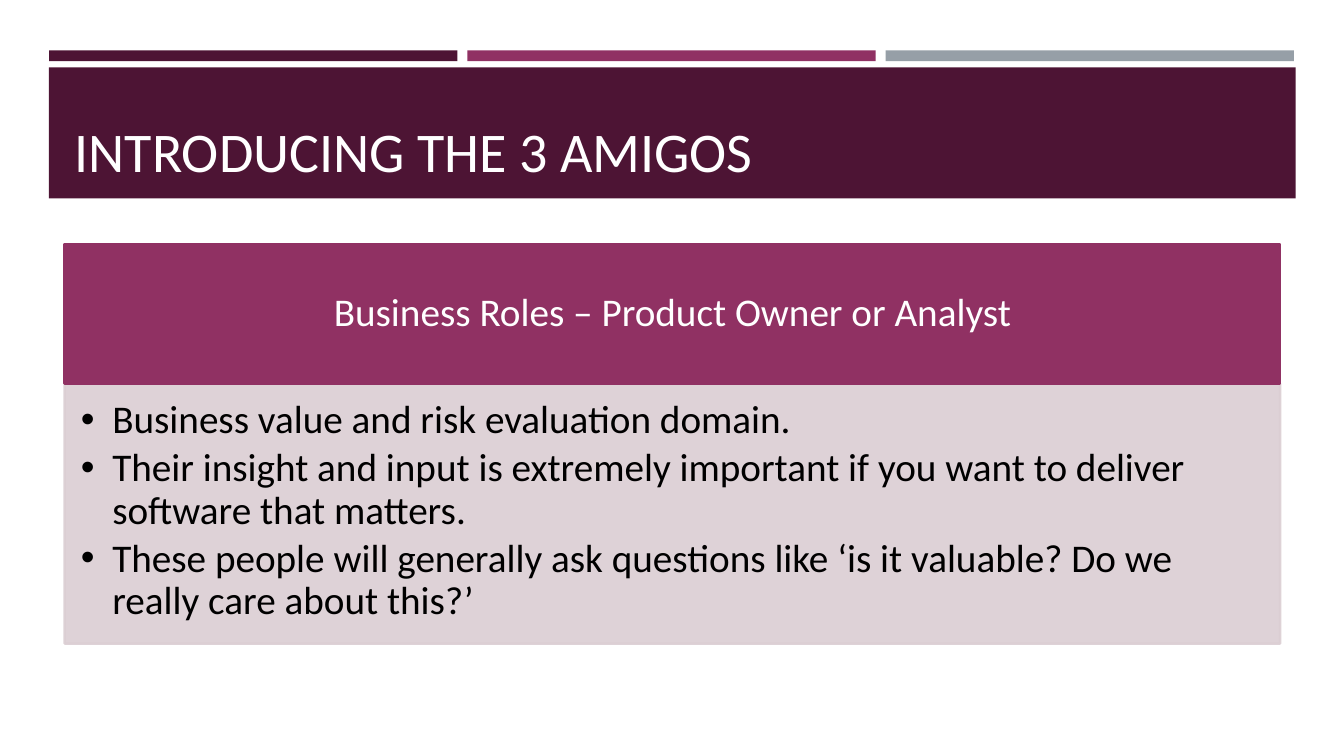
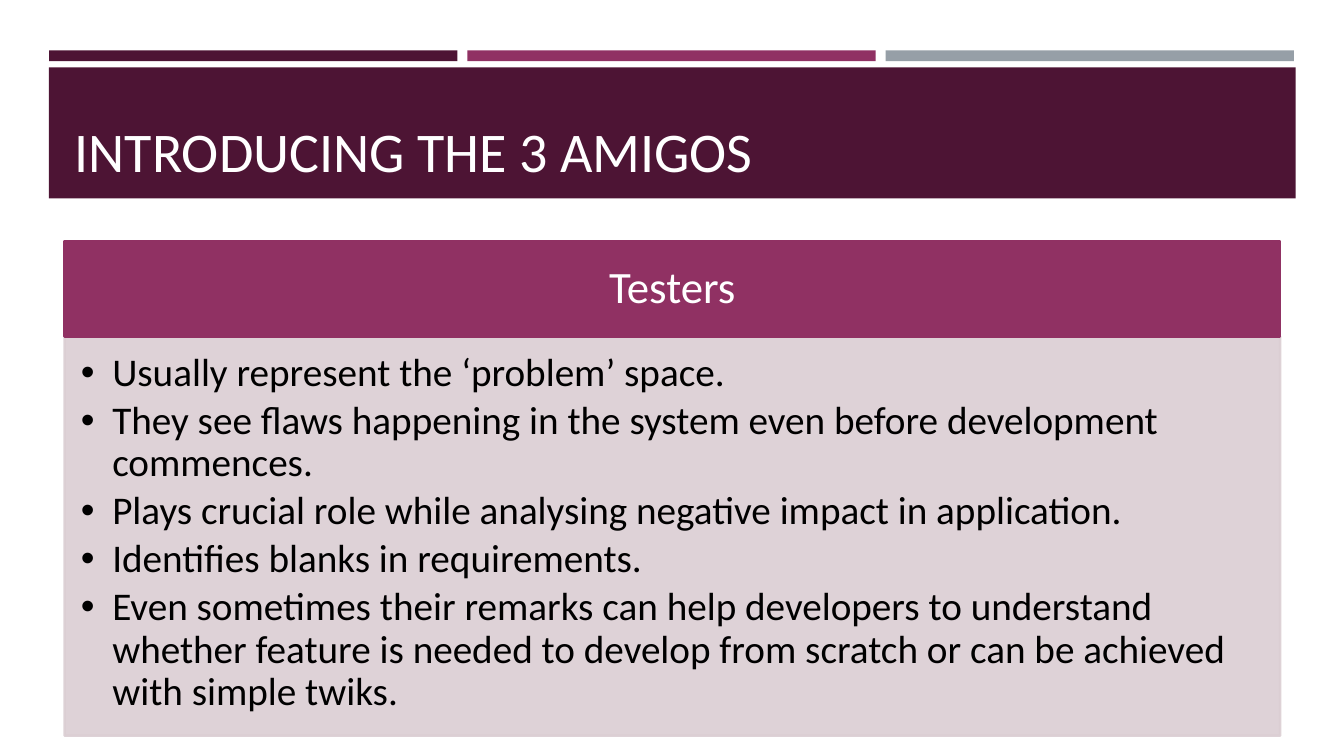
from lxml.etree import SubElement
from pptx import Presentation
from pptx.dml.color import RGBColor
from pptx.enum.shapes import MSO_SHAPE as Shape
from pptx.enum.text import MSO_ANCHOR as Anchor, MSO_AUTO_SIZE as AutoSize, PP_ALIGN as Align
from pptx.oxml.ns import qn
from pptx.util import Cm, Pt

# Shared style
FONT = "Calibri"
PLUM, BERRY, GREY = "4D1434", "903163", "969FA7"
PANEL, WHITE, BLACK = "DBCED3", "FFFFFF", "000000"
CONTENT_LEFT, CONTENT_WIDTH = 1.63, 30.63
STRIPE_WIDTH, STRIPE_PITCH = 10.29, 10.54
BULLET_INDENT = 0.79

TITLE = "INTRODUCING THE 3 AMIGOS"
SLIDES = [
    {
        "heading": "Business Roles – Product Owner or Analyst",
        "heading_size": 28, "top": 6.15, "heading_height": 3.52, "list_height": 6.55,
        "items": [
            "Business value and risk evaluation domain.",
            "Their insight and input is extremely important if you want to deliver "
            "software that matters.",
            "These people will generally ask questions like ‘is it valuable? "
            "Do we really care about this?’",
        ],
    },
    {
        "heading": "Testers",
        "heading_size": 32, "top": 6.08, "heading_height": 2.4, "list_height": 10.06,
        "items": [
            "Usually represent the ‘problem’ space.",
            "They see flaws happening in the system even before development commences.",
            "Plays crucial role while analysing negative impact in application.",
            "Identifies blanks in requirements.",
            "Even sometimes their remarks can help developers to understand whether "
            "feature is needed to develop from scratch or can be achieved with simple twiks.",
        ],
    },
]


def color(hex_code):
    return RGBColor.from_string(hex_code)


def place(shape, left, top, width, height):
    shape.left, shape.top = Cm(left), Cm(top)
    shape.width, shape.height = Cm(width), Cm(height)


def paint(shape, fill, line=None, opacity=100):
    """Give a shape a flat fill and an optional outline."""
    shape.fill.solid()
    shape.fill.fore_color.rgb = color(fill)
    if line:
        shape.line.color.rgb = color(line)
        shape.line.width = Pt(1.75)
    else:
        shape.line.fill.background()
    if opacity < 100:
        for tint in shape.element.spPr.iter(qn("a:srgbClr")):
            SubElement(tint, qn("a:alpha"), val=str(opacity * 1000))


def add_box(slide, left, top, width, height, fill, line=None):
    box = slide.shapes.add_shape(Shape.RECTANGLE, Cm(left), Cm(top), Cm(width), Cm(height))
    box.shadow.inherit = False
    paint(box, fill, line)
    return box


def add_bullet(paragraph):
    properties = paragraph._p.get_or_add_pPr()
    indent = Cm(BULLET_INDENT)
    properties.set("marL", str(indent))
    properties.set("indent", str(-indent))
    SubElement(properties, qn("a:buFont"), typeface="Arial")
    SubElement(properties, qn("a:buChar"), char="•")


def write(shape, *texts, size, ink, align=Align.LEFT, anchor=Anchor.TOP,
          bullets=False, space_after=0):
    """Write one paragraph for each text."""
    frame = shape.text_frame
    frame.word_wrap = True
    frame.auto_size = AutoSize.NONE
    frame.vertical_anchor = anchor
    for index, text in enumerate(texts):
        paragraph = frame.add_paragraph() if index else frame.paragraphs[0]
        paragraph.text = text
        if bullets:
            add_bullet(paragraph)
        paragraph.alignment = align
        paragraph.line_spacing = 0.9
        paragraph.space_before = Pt(0)
        paragraph.space_after = Pt(space_after)
        paragraph.font.name = FONT
        paragraph.font.size = Pt(size)
        paragraph.font.color.rgb = color(ink)


def style_layout(layout, slide):
    """Move the stripes and title band into the layout, behind its placeholders."""
    bands = [
        add_box(slide, 1.24 + column * STRIPE_PITCH, 1.27, STRIPE_WIDTH, 0.27, fill)
        for column, fill in enumerate((PLUM, BERRY, GREY))
    ]
    bands.append(add_box(slide, 1.23, 1.7, 31.42, 3.3, PLUM))
    for position, band in enumerate(bands, start=2):
        layout.shapes.element.insert(position, band.element)
    place(layout.placeholders[0], CONTENT_LEFT, 1.96, CONTENT_WIDTH, 2.82)


def add_role(slide, heading, heading_size, top, heading_height, list_height, items):
    """Fill in the title, the heading bar and the list panel below it."""
    write(slide.shapes.title, TITLE, size=40, ink=WHITE, anchor=Anchor.BOTTOM)

    heading_bar = add_box(slide, CONTENT_LEFT, top, CONTENT_WIDTH, heading_height, BERRY, BERRY)
    write(heading_bar, heading, size=heading_size, ink=WHITE,
          align=Align.CENTER, anchor=Anchor.MIDDLE)

    panel = slide.placeholders[1]
    place(panel, CONTENT_LEFT, top + heading_height, CONTENT_WIDTH, list_height)
    paint(panel, PANEL, PANEL, opacity=90)
    frame = panel.text_frame
    frame.margin_left = frame.margin_top = Cm(0.41)
    frame.margin_right, frame.margin_bottom = Cm(0.56), Cm(0.61)
    write(panel, *items, size=28, ink=BLACK, bullets=True, space_after=4)


def main():
    presentation = Presentation()
    presentation.slide_width, presentation.slide_height = Cm(33.87), Cm(19.05)
    layout = presentation.slide_layouts[1]
    slides = [presentation.slides.add_slide(layout) for _ in SLIDES]
    style_layout(layout, slides[0])
    for slide, content in zip(slides, SLIDES):
        add_role(slide, **content)
    presentation.save("out.pptx")


if __name__ == "__main__":
    main()
